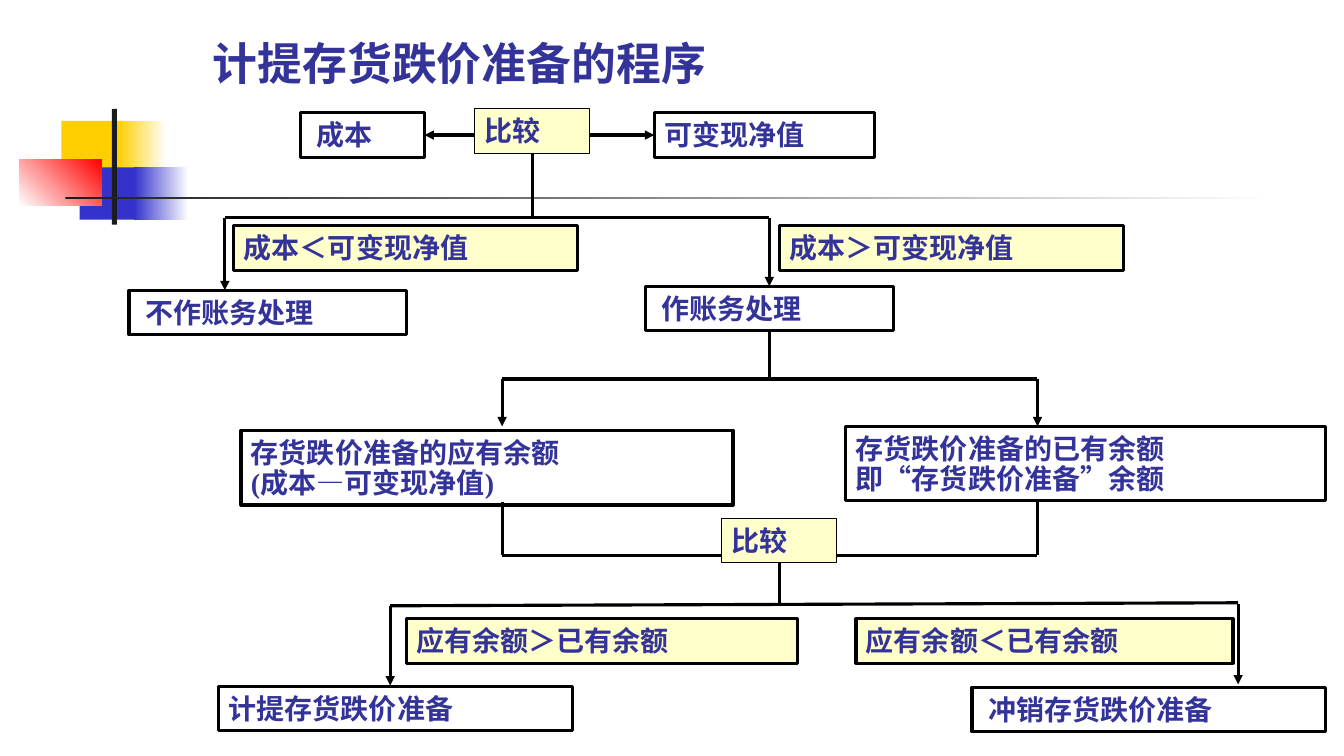
from lxml import etree
from pptx import Presentation
from pptx.dml.color import RGBColor
from pptx.enum.shapes import MSO_CONNECTOR, MSO_SHAPE
from pptx.enum.text import MSO_ANCHOR, MSO_AUTO_SIZE, PP_ALIGN
from pptx.oxml.ns import qn
from pptx.util import Inches, Pt

RECT = MSO_SHAPE.RECTANGLE
STRAIGHT = MSO_CONNECTOR.STRAIGHT
LEFT = PP_ALIGN.LEFT
TOP, MIDDLE = MSO_ANCHOR.TOP, MSO_ANCHOR.MIDDLE
FIXED = MSO_AUTO_SIZE.NONE
INK, BLACK, CREAM = "333399", "000000", "FFFFCC"


def hue(code):
    return RGBColor.from_string(code)


def style(para, face, size):
    para.alignment = LEFT
    for run in para.runs:
        run.font.name = face
        run.font.size = Pt(size)
        run.font.bold = True
        run.font.color.rgb = hue(INK)


deck = Presentation()
deck.slide_width, deck.slide_height = Inches(13.33), Inches(7.5)
slide = deck.slides.add_slide(deck.slide_layouts[5])
shapes = slide.shapes

# Title
title = shapes.title
title.left, title.top = Inches(2.01), Inches(0.3)
title.width, title.height = Inches(5.16), Inches(0.64)
frame = title.text_frame
frame.text = "计提存货跌价准备的程序"
frame.word_wrap = False
frame.auto_size = FIXED
frame.vertical_anchor = MIDDLE
style(frame.paragraphs[0], "Lato", 32)

# Colour blocks and rule: place, first colour, last colour, angle
DECOR = [
    (0.61, 1.2, 0.64, 0.52, "FFCF01", None, 0),
    (1.17, 1.2, 0.48, 0.52, "FFCF01", "FFFFFF", 0),
    (0.79, 1.66, 0.62, 0.52, "3333CC", None, 0),
    (1.33, 1.66, 0.54, 0.52, "3333CC", "FFFFFF", 0),
    (0.19, 1.58, 0.82, 0.46, "FFFFFF", "FF0000", 45),
    (1.11, 1.08, 0.05, 1.15, "1C1C1C", None, 0),
    (0.65, 1.95, 12, 0.03, "1C1C1C", "FFFFFF", 0),
]
for x, y, w, h, first, last, angle in DECOR:
    block = shapes.add_shape(RECT, Inches(x), Inches(y), Inches(w), Inches(h))
    block.shadow.inherit = False
    block.line.fill.background()
    if last:
        block.fill.gradient()
        block.fill.gradient_angle = angle
        for stop, code in zip(block.fill.gradient_stops, (first, last)):
            stop.color.rgb = hue(code)
    else:
        block.fill.solid()
        block.fill.fore_color.rgb = hue(first)

# Flow lines: name, from, to, arrowheads
LINES = [
    ("pair", 4.21, 1.34, 6.49, 1.34, ("headEnd", "tailEnd")),
    ("trunk", 5.28, 1.52, 5.28, 2.16, ()),
    ("split", 2.23, 2.16, 7.63, 2.16, ()),
    ("to skip", 2.23, 2.16, 2.23, 2.88, ("tailEnd",)),
    ("to book", 7.63, 2.16, 7.63, 2.84, ("tailEnd",)),
    ("book stem", 7.63, 3.28, 7.63, 3.76, ()),
    ("book split", 4.98, 3.76, 10.29, 3.76, ()),
    ("to due", 4.98, 3.76, 4.98, 4.23, ("tailEnd",)),
    ("to held", 10.29, 3.76, 10.29, 4.23, ("tailEnd",)),
    ("due stem", 4.98, 4.98, 4.98, 5.51, ()),
    ("held stem", 10.29, 4.97, 10.29, 5.51, ()),
    ("merge", 4.98, 5.51, 10.29, 5.51, ()),
    ("last stem", 7.73, 5.58, 7.73, 5.99, ()),
    ("last split", 3.87, 6.01, 12.28, 5.98, ()),
    ("to accrue", 3.87, 6.01, 3.87, 6.8, ("tailEnd",)),
    ("to reverse", 12.28, 5.99, 12.28, 6.79, ("tailEnd",)),
]
lines = {}
for name, x1, y1, x2, y2, heads in LINES:
    line = shapes.add_connector(
        STRAIGHT, Inches(x1), Inches(y1), Inches(x2), Inches(y2))
    line.line.color.rgb = hue(BLACK)
    line.line.width = Pt(2.25)
    props = line.element.spPr
    for head in heads:
        etree.SubElement(props.find(qn("a:ln")), qn("a:" + head), type="triangle")
    etree.SubElement(props, qn("a:effectLst"))
    lines[name] = line

# Boxes: name, place, fill, border, text
BOXES = [
    ("cost", 2.98, 1.12, 1.23, 0.44, None, 2.25, " 成本"),
    ("value", 6.49, 1.12, 2.18, 0.44, None, 2.25, "可变现净值"),
    ("compare", 4.71, 1.08, 1.14, 0.44, CREAM, 0.75, "比较"),
    ("below", 2.32, 2.24, 3.41, 0.44, CREAM, 2.25, "成本＜可变现净值"),
    ("above", 7.73, 2.24, 3.41, 0.44, CREAM, 2.25, "成本＞可变现净值"),
    ("skip", 1.28, 2.88, 2.75, 0.44, None, 2.25, " 不作账务处理"),
    ("book", 6.4, 2.84, 2.46, 0.44, None, 2.25, " 作账务处理"),
    ("due", 2.39, 4.27, 4.88, 0.74, None, 2.25,
     "存货跌价准备的应有余额\n(成本—可变现净值)"),
    ("held", 8.39, 4.23, 4.76, 0.74, None, 2.25,
     "存货跌价准备的已有余额\n即“存货跌价准备”余额"),
    ("match", 7.16, 5.14, 1.14, 0.44, CREAM, 0.75, "比较"),
    ("more", 4.03, 6.14, 3.88, 0.44, CREAM, 2.25, "应有余额＞已有余额"),
    ("less", 8.49, 6.14, 3.74, 0.44, CREAM, 2.25, "应有余额＜已有余额"),
    ("accrue", 2.17, 6.81, 3.51, 0.44, None, 2.25, "计提存货跌价准备"),
    ("reverse", 9.64, 6.82, 3.51, 0.44, None, 2.25, " 冲销存货跌价准备"),
]
boxes = {}
for name, x, y, w, h, fill, border, text in BOXES:
    box = shapes.add_shape(RECT, Inches(x), Inches(y), Inches(w), Inches(h))
    box.shadow.inherit = False
    box.line.color.rgb = hue(BLACK)
    box.line.width = Pt(border)
    if fill:
        box.fill.solid()
        box.fill.fore_color.rgb = hue(fill)
    else:
        box.fill.background()
    frame = box.text_frame
    frame.text = text
    frame.word_wrap = True
    frame.vertical_anchor = TOP
    for para in frame.paragraphs:
        style(para, "Times New Roman", 20)
    for para in frame.paragraphs[1:]:
        para.line_spacing = Pt(21.5)
    boxes[name] = box

# Joins at the middle of a side
STARTS = [("pair", "cost", 3), ("trunk", "compare", 2),
          ("book stem", "book", 2), ("last stem", "match", 2)]
ENDS = [("pair", "value", 1), ("to book", "book", 0)]
for name, box, side in STARTS:
    lines[name].begin_connect(boxes[box], side)
for name, box, side in ENDS:
    lines[name].end_connect(boxes[box], side)

deck.save("out.pptx")
